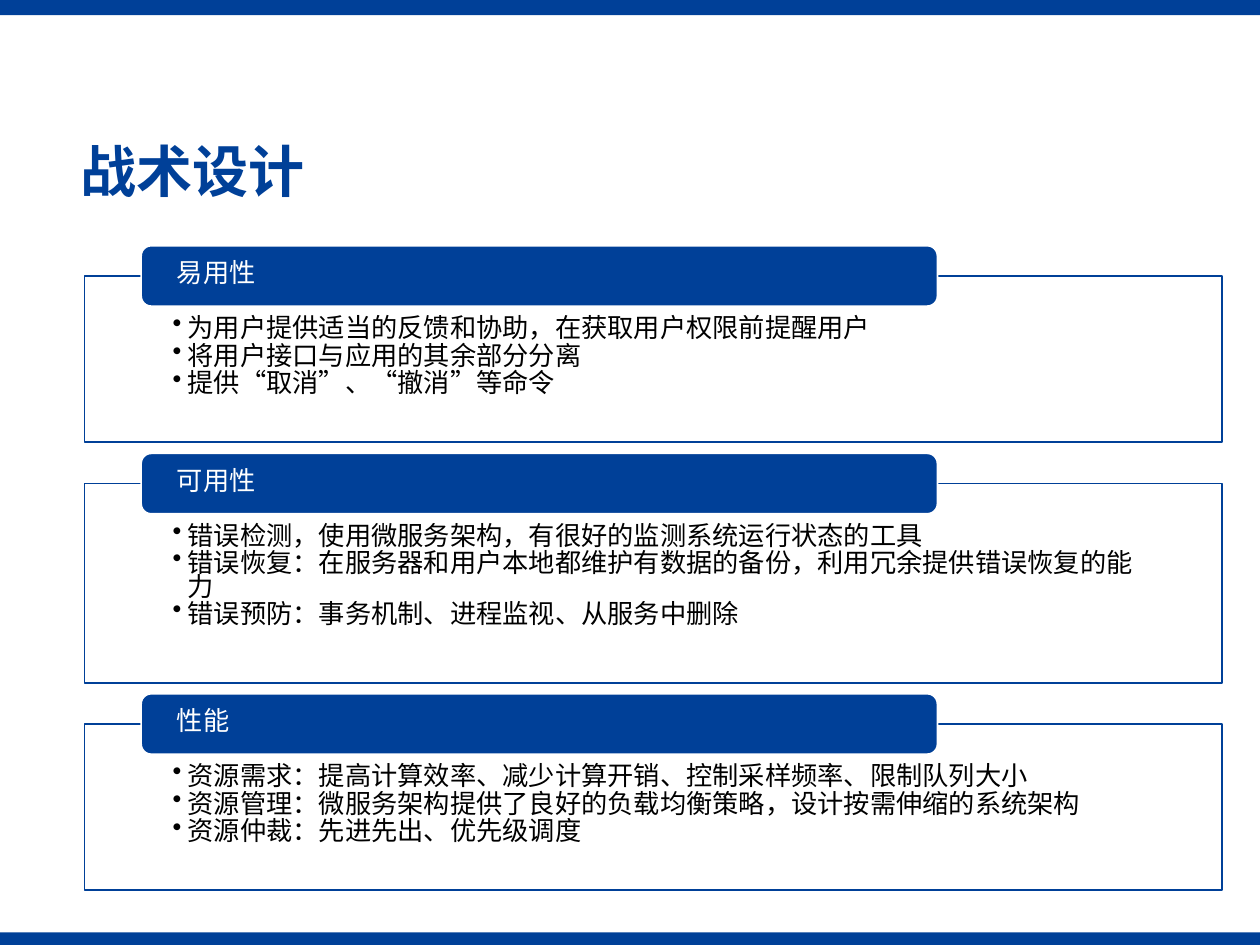
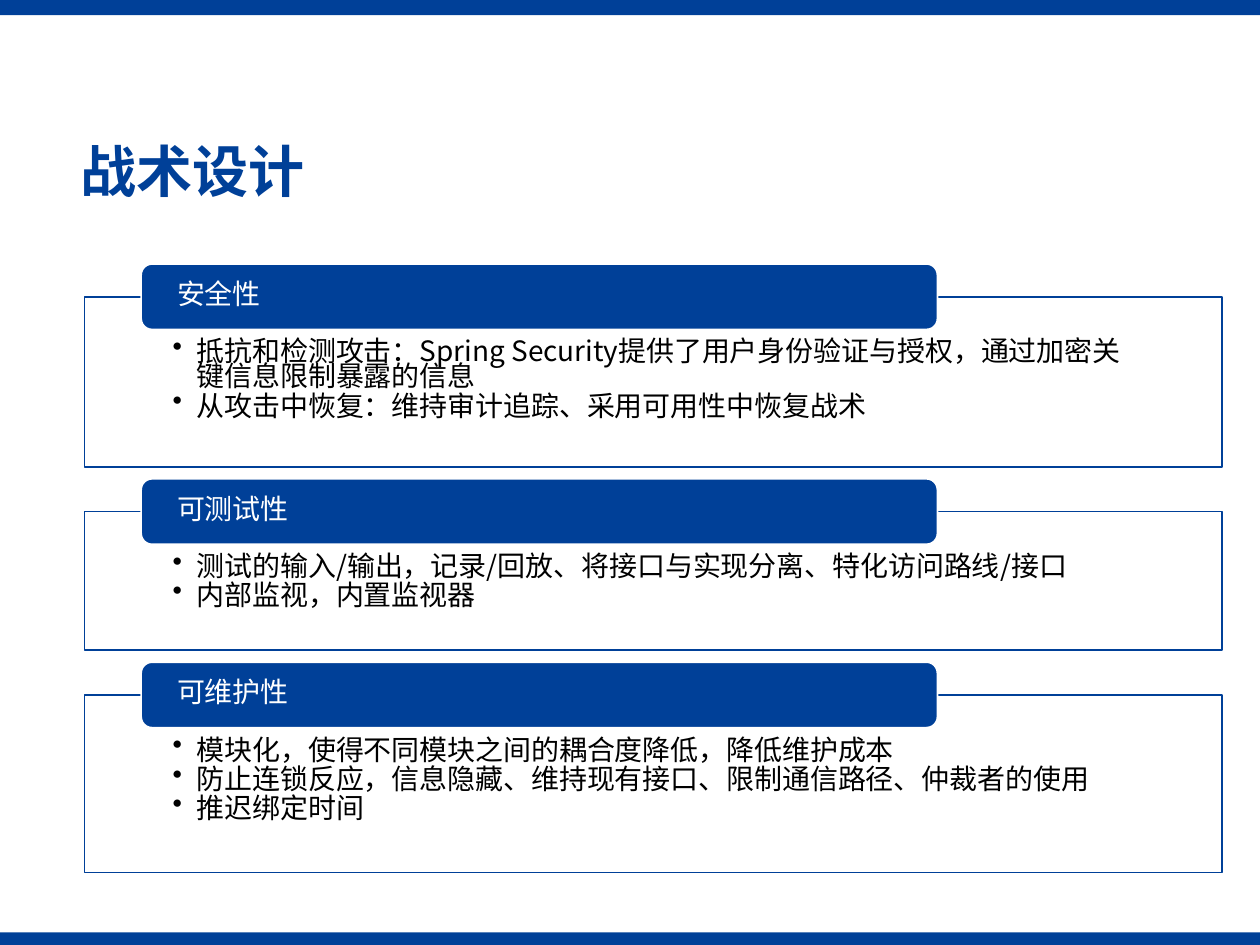
from dataclasses import dataclass

from lxml.etree import SubElement
from pptx import Presentation
from pptx.dml.color import RGBColor
from pptx.enum.shapes import MSO_SHAPE
from pptx.enum.text import MSO_ANCHOR, PP_ALIGN
from pptx.oxml.ns import qn
from pptx.util import Inches, Pt


@dataclass(frozen=True)
class Theme:
    blue: RGBColor = RGBColor(0x00, 0x40, 0x98)
    white: RGBColor = RGBColor(0xFF, 0xFF, 0xFF)
    black: RGBColor = RGBColor(0x00, 0x00, 0x00)
    font: str = "Noto Sans CJK SC"
    title_size: int = 32
    title_spacing: float = 0.9
    body_spacing: float = 0.74
    item_gap: float = 2.5
    outline: int = 1


@dataclass(frozen=True)
class Density:
    """Sizes that change with the amount of text; lengths are grid units."""
    text_size: int
    tab_rows: float
    panel_gap: float
    hang: float
    top_inset: float


THEME = Theme()
COMPACT = Density(15, 4.8, 0.88, 1.2, 3.4)
ROOMY = Density(16, 5.2, 0.95, 1.9, 3.6)

# The slide is a grid of 100 columns by 75 rows
COLUMNS, ROWS = 100, 75
PANEL_LEFT, PANEL_COLUMNS = 6.7, 90.3
TAB_LEFT, TAB_COLUMNS = 11.2, 63.2
SIDE_INSET, TAB_INSET = 7, 2.6

TITLE = "战术设计"

# Each panel: heading, height in rows, items
USE_PANELS = [
    ("易用性", 13.2, [
        "为用户提供适当的反馈和协助，在获取用户权限前提醒用户",
        "将用户接口与应用的其余部分分离",
        "提供“取消”、“撤消”等命令",
    ]),
    ("可用性", 15.8, [
        "错误检测，使用微服务架构，有很好的监测系统运行状态的工具",
        "错误恢复：在服务器和用户本地都维护有数据的备份，利用冗余提供错误恢复的能力",
        "错误预防：事务机制、进程监视、从服务中删除",
    ]),
    ("性能", 13.2, [
        "资源需求：提高计算效率、减少计算开销、控制采样频率、限制队列大小",
        "资源管理：微服务架构提供了良好的负载均衡策略，设计按需伸缩的系统架构",
        "资源仲裁：先进先出、优先级调度",
    ]),
]
CARE_PANELS = [
    ("安全性", 13.5, [
        "抵抗和检测攻击：Spring Security提供了用户身份验证与授权，通过加密关键信息限制暴露的信息",
        "从攻击中恢复：维持审计追踪、采用可用性中恢复战术",
    ]),
    ("可测试性", 11, [
        "测试的输入/输出，记录/回放、将接口与实现分离、特化访问路线/接口",
        "内部监视，内置监视器",
    ]),
    ("可维护性", 14.1, [
        "模块化，使得不同模块之间的耦合度降低，降低维护成本",
        "防止连锁反应，信息隐藏、维持现有接口、限制通信路径、仲裁者的使用",
        "推迟绑定时间",
    ]),
]


def grid(units):
    return Inches(units / 10)


def add_box(slide, area, fill, line=None, preset=MSO_SHAPE.RECTANGLE):
    box = slide.shapes.add_shape(preset, *map(grid, area))
    box.shadow.inherit = False
    box.fill.solid()
    box.fill.fore_color.rgb = fill
    if line is None:
        box.line.fill.background()
    else:
        box.line.color.rgb = line
        box.line.width = Pt(THEME.outline)
    return box


def set_text(shape, lines, size, color, spacing, anchor, insets, bold=False):
    frame = shape.text_frame
    frame.text = "\n".join(lines)
    frame.word_wrap = True
    frame.vertical_anchor = anchor
    (frame.margin_left, frame.margin_top,
     frame.margin_right, frame.margin_bottom) = map(grid, insets)
    for paragraph in frame.paragraphs:
        paragraph.alignment = PP_ALIGN.LEFT
        paragraph.line_spacing = spacing
        for run in paragraph.runs:
            run.font.size = Pt(size)
            run.font.bold = bold
            run.font.color.rgb = color
            run.font.name = THEME.font
            properties = run.font._element
            properties.set("lang", "zh-CN")
            SubElement(properties, qn("a:ea"), typeface=THEME.font)
    return frame.paragraphs


def add_bullet(paragraph, hang):
    paragraph.space_after = Pt(THEME.item_gap)
    properties = paragraph._p.get_or_add_pPr()
    properties.set("marL", str(grid(hang)))
    properties.set("indent", str(-grid(hang)))
    SubElement(properties, qn("a:buChar"), char="•")


def add_frame(slide):
    # Top and bottom bands, then the title
    for top, height in ((0, 1.2), (ROWS - 1, 1)):
        add_box(slide, (0, top, COLUMNS, height), THEME.blue)
    title = slide.shapes.add_textbox(*map(grid, (5.4, 10.7, 91.6, 6.3)))
    set_text(title, [TITLE], THEME.title_size, THEME.blue, THEME.title_spacing,
             MSO_ANCHOR.MIDDLE, (1, 0.5, 1, 0.5), bold=True)


def add_panel(slide, top, heading, height, items, density):
    """Draw an outlined list with a tab on its upper edge; return its bottom."""
    panel_top = top + density.tab_rows / 2
    panel = add_box(slide, (PANEL_LEFT, panel_top, PANEL_COLUMNS, height),
                    THEME.white, THEME.blue)
    paragraphs = set_text(
        panel, items, density.text_size, THEME.black, THEME.body_spacing,
        MSO_ANCHOR.TOP, (SIDE_INSET, density.top_inset, SIDE_INSET, 1.2))
    for paragraph in paragraphs:
        add_bullet(paragraph, density.hang)

    tab = add_box(slide, (TAB_LEFT, top, TAB_COLUMNS, density.tab_rows),
                  THEME.blue, THEME.white, MSO_SHAPE.ROUNDED_RECTANGLE)
    set_text(tab, [heading], density.text_size, THEME.white, THEME.body_spacing,
             MSO_ANCHOR.MIDDLE, (TAB_INSET, 0, TAB_INSET, 0))
    return panel_top + height


def add_tactics_slide(deck, panels, top, density):
    slide = deck.slides.add_slide(deck.slide_layouts[6])
    add_frame(slide)
    for heading, height, items in panels:
        bottom = add_panel(slide, top, heading, height, items, density)
        top = bottom + density.panel_gap


def main():
    deck = Presentation()
    deck.slide_width, deck.slide_height = grid(COLUMNS), grid(ROWS)
    add_tactics_slide(deck, USE_PANELS, 19.5, COMPACT)
    add_tactics_slide(deck, CARE_PANELS, 20.95, ROOMY)
    deck.save("out.pptx")


if __name__ == "__main__":
    main()
